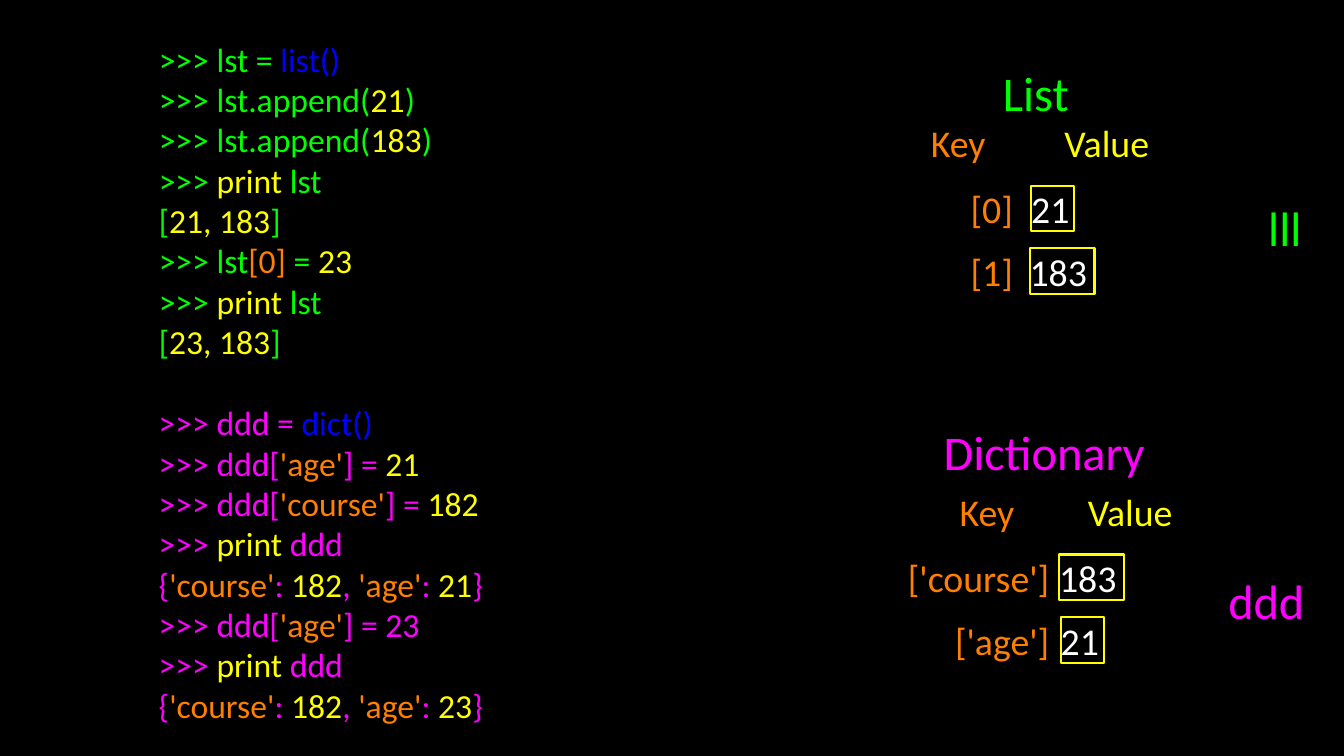
import pptx
import pptx.dml.color
import pptx.enum.shapes
import pptx.enum.text
import pptx.util

Pt = pptx.util.Pt
ALIGN = pptx.enum.text.PP_ALIGN

BLACK, WHITE = "000000", "FFFFFF"
GREEN, MAGENTA = "00FF00", "FF00FF"
BLUE, YELLOW, ORANGE = "0000FF", "FFFF00", "FF7F00"
FRAME = {
    "margin_left": 0, "margin_top": 0, "margin_right": 0, "margin_bottom": 0,
    "word_wrap": False,
    "auto_size": pptx.enum.text.MSO_AUTO_SIZE.SHAPE_TO_FIT_TEXT,
    "vertical_anchor": pptx.enum.text.MSO_ANCHOR.MIDDLE,
}
CODE_SIZE, CELL_SIZE, TITLE_SIZE = 32, 36, 46
CELL_H, TITLE_H = 43.2, 55.4
HEAD_TO_ROWS, ROW_PITCH = 63, 59.8
KEY_HEAD_W, VALUE_HEAD_W = 61.2, 93.6
# Left inset and width of a value box
VALUE_BOX = {"21": (1.5, 41), "183": (0, 61.9)}

PRINT = ("print", YELLOW)
AGE, COURSE = ("'age'", ORANGE), ("'course'", ORANGE)


def rgb(color):
    return pptx.dml.color.RGBColor.from_string(color)


def set_attrs(obj, values):
    for name, value in values.items():
        setattr(obj, name, value)


def write(sp, lines, size, color, align=ALIGN.LEFT):
    """Fill sp with lines of parts: plain text in color, or (text, color)."""
    tf = sp.text_frame
    set_attrs(tf, FRAME)
    for i, line in enumerate(lines):
        p = tf.paragraphs[0] if i == 0 else tf.add_paragraph()
        p.alignment = align
        for part in line:
            text, part_color = (part, color) if isinstance(part, str) else part
            r = p.add_run()
            r.text = text
            set_attrs(r.font, {"name": "Calibri", "size": Pt(size)})
            r.font.color.rgb = rgb(part_color)


def add_text(s, box, lines, size, color, align=ALIGN.CENTER):
    sp = s.shapes.add_textbox(*map(Pt, box))
    write(sp, lines, size, color, align)


def add_value(s, left, top, value):
    inset, width = VALUE_BOX[value]
    sp = s.shapes.add_shape(pptx.enum.shapes.MSO_SHAPE.RECTANGLE,
                            Pt(left + inset), Pt(top), Pt(width), Pt(CELL_H))
    sp.shadow.inherit = False
    sp.fill.background()
    sp.line.color.rgb = rgb(YELLOW)
    sp.line.width = Pt(2)
    write(sp, [[value]], CELL_SIZE, WHITE)


def add_code(s, box, lines, color):
    add_text(s, box, lines, CODE_SIZE, color, ALIGN.LEFT)


def add_collection(s, box, color, title, name, heads, rows):
    """Draw a key/value diagram; inner places are offsets from the box."""
    left, top, width, _ = box
    text, title_x, title_w = title
    add_text(s, (left + title_x, top, title_w, TITLE_H),
             [[text]], TITLE_SIZE, color)

    head_y, key_x, value_x = heads
    for label, x, w, head_color in (("Key", key_x, KEY_HEAD_W, ORANGE),
                                    ("Value", value_x, VALUE_HEAD_W, YELLOW)):
        add_text(s, (left + x, top + head_y, w, CELL_H),
                 [[label]], CELL_SIZE, head_color)

    key_right, box_x, cells = rows
    for i, (key, key_w, value) in enumerate(cells):
        y = top + head_y + HEAD_TO_ROWS + i * ROW_PITCH
        add_text(s, (left + key_right - key_w, y, key_w, CELL_H),
                 [[key]], CELL_SIZE, ORANGE, ALIGN.RIGHT)
        add_value(s, left + box_x, y, value)

    text, name_y, name_w = name
    add_text(s, (left + width - name_w, top + name_y, name_w, TITLE_H),
             [[text]], TITLE_SIZE, color)


LIST_CODE = [
    [">>> lst =", (" list()", BLUE)],
    [">>> lst.append(", ("21", YELLOW), ")"],
    [">>> lst.append(", ("183", YELLOW), ")"],
    [">>> ", PRINT, " lst"],
    ["[", ("21, 183", YELLOW), "]"],
    [">>> lst", ("[0]", ORANGE), " = ", ("23", YELLOW)],
    [">>> ", PRINT, " lst"],
    ["[", ("23, 183", YELLOW), "]"],
]


def dict_output(age):
    return ["{", COURSE, ": ", ("182", YELLOW), ", ",
            AGE, ": ", (age, YELLOW), "}"]


DICT_CODE = [
    [">>> ddd = ", ("dict()", BLUE)],
    [">>> ddd[", AGE, "] = ", ("21", YELLOW)],
    [">>> ddd[", COURSE, "] = ", ("182", YELLOW)],
    [">>> ", PRINT, " ddd"],
    dict_output("21"),
    [">>> ddd[", AGE, "] = 23"],
    [">>> ", PRINT, " ddd"],
    dict_output("23"),
]


def main():
    prs = pptx.Presentation()
    set_attrs(prs, {"slide_width": Pt(1280), "slide_height": Pt(720)})
    s = prs.slides.add_slide(prs.slide_layouts[6])
    s.background.fill.solid()
    s.background.fill.fore_color.rgb = rgb(BLACK)

    add_code(s, (151.2, 36.7, 296.6, 307.4), LIST_CODE, GREEN)
    add_code(s, (151.2, 383, 352.8, 307.4), DICT_CODE, MAGENTA)
    add_collection(s, (882, 59.8, 359.3, 220.3), GREEN,
                   title=("List", 67, 74.9), name=("lll", 128.8, 35.3),
                   heads=(54, 0, 125.3),
                   rows=(82.8, 98.6, [("[0]", 44.6, "21"),
                                      ("[1]", 44.6, "183")]))
    add_collection(s, (846, 401.8, 402.5, 229), MAGENTA,
                   title=("Dictionary", 38.2, 220.3), name=("ddd", 141.8, 85),
                   heads=(63.3, 63.4, 183.6),
                   rows=(153.4, 162.7, [("['course']", 153.4, "183"),
                                        ("['age']", 102.2, "21")]))
    prs.save("out.pptx")


if __name__ == "__main__":
    main()
